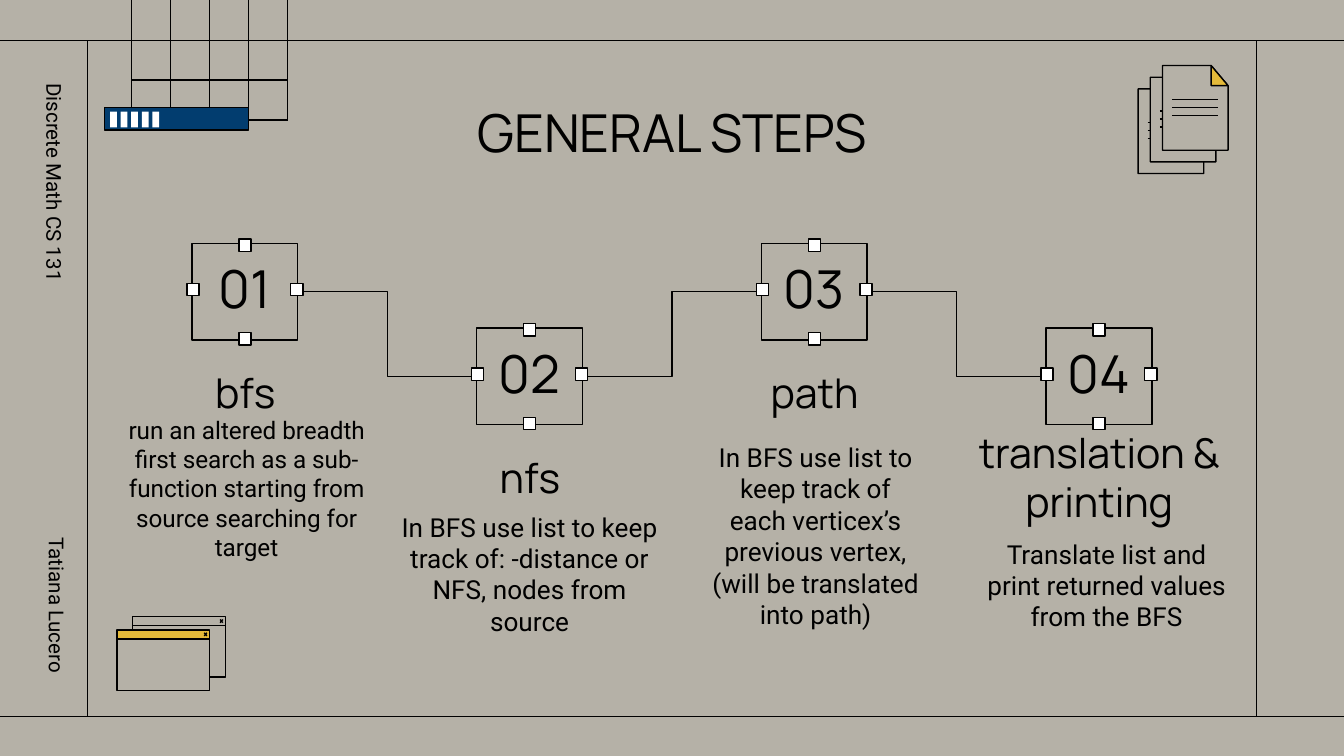
"""Build the slide of four general steps."""
from dataclasses import dataclass

from lxml import etree
from pptx import Presentation
from pptx.dml.color import RGBColor
from pptx.enum.shapes import MSO_CONNECTOR, MSO_SHAPE
from pptx.enum.text import MSO_ANCHOR, PP_ALIGN
from pptx.oxml.ns import qn
from pptx.util import Cm, Pt

RECT = MSO_SHAPE.RECTANGLE
STRAIGHT, ELBOW = MSO_CONNECTOR.STRAIGHT, MSO_CONNECTOR.ELBOW
TOP, MIDDLE = MSO_ANCHOR.TOP, MSO_ANCHOR.MIDDLE
LEFT, CENTER, RIGHT = PP_ALIGN.LEFT, PP_ALIGN.CENTER, PP_ALIGN.RIGHT
HEAD, BODY = "Manrope", "Roboto"
COLORS = {"paper": "B5B1A7", "ink": "000000", "white": "FFFFFF",
          "gold": "E4BA3A", "navy": "023D6F"}
THIN = Pt(0.75)
BOX_W, BOX_H = 2.0, 1.83
KNOB = 0.23
WIN_W, BAR_H, PANE_H = 1.75, 0.17, 0.97
PAGE_W, PAGE_H, FOLD_X, FOLD_Y = 1.24, 1.6, 0.92, 0.38


@dataclass
class Area:
    x: float
    y: float
    w: float
    h: float


@dataclass
class Step:
    label: str
    text: str
    size: int
    body: Area
    after: int = 0


STEPS = [
    Step("bfs", "run an altered breadth first search as a sub-function "
         "starting from source searching for target", 13,
         Area(2.16, 7.77, 5, 2.92), 12),
    Step("nfs", "In BFS use list to keep track of: -distance or NFS, "
         "nodes from source", 14, Area(7.32, 8.71, 5.38, 4.27)),
    Step("path", "In BFS use list to keep track of\neach verticex’s previous "
         "vertex,\n(will be translated\ninto path)", 14,
         Area(12.85, 8.31, 5.13, 3.63)),
    Step("translation & printing", "Translate list and print returned values "
         "from the BFS", 14, Area(18.26, 9.7, 5.31, 2.72)),
]


def color(name: str) -> RGBColor:
    return RGBColor.from_string(COLORS[name])


def paint(shape, fill: str | None, edge: bool = True) -> None:
    shape.shadow.inherit = False
    if fill:
        shape.fill.solid()
        shape.fill.fore_color.rgb = color(fill)
    else:
        shape.fill.background()
    if edge:
        shape.line.color.rgb = color("ink")
        shape.line.width = THIN
    else:
        shape.line.fill.background()


def block(shapes, area: Area, fill: str | None = None, edge: bool = True):
    shape = shapes.add_shape(RECT, Cm(area.x), Cm(area.y),
                             Cm(area.w), Cm(area.h))
    paint(shape, fill, edge)
    return shape


def outline(shapes, points: list, fill: str | None) -> None:
    spots = [(Cm(x), Cm(y)) for x, y in points]
    pen = shapes.build_freeform(*spots[0])
    pen.add_line_segments(spots[1:])
    paint(pen.convert_to_shape(), fill)


def line(shapes, x1: float, y1: float, x2: float, y2: float, kind=STRAIGHT):
    link = shapes.add_connector(kind, Cm(x1), Cm(y1), Cm(x2), Cm(y2))
    link.line.color.rgb = color("ink")
    link.line.width = THIN
    etree.SubElement(link._element.spPr, qn("a:effectLst"))
    return link


def write(shape, text: str, size: int, face: str, align=CENTER,
          anchor=MIDDLE, after: int = 0, space: float = 1.0) -> None:
    frame = shape.text_frame
    frame.text = text
    frame.word_wrap = True
    frame.vertical_anchor = anchor
    frame.margin_left = frame.margin_right = Cm(0.25)
    frame.margin_top = frame.margin_bottom = Cm(0.25)
    for para in frame.paragraphs:
        para.alignment = align
        para.space_after = Pt(after)
        para.line_spacing = space
        for run in para.runs:
            run.font.size = Pt(size)
            run.font.name = face
            run.font.color.rgb = color("ink")


def label(shapes, area: Area, text: str, size: int, face: str,
          turn: int = 0, **look) -> None:
    box = shapes.add_textbox(Cm(area.x), Cm(area.y), Cm(area.w), Cm(area.h))
    box.rotation = turn
    write(box, text, size, face, **look)


def knobs(shapes, x: float, y: float) -> None:
    mid_x, mid_y = x + BOX_W / 2, y + BOX_H / 2
    for dx, dy in ((0, -0.88), (0, 0.89), (-0.98, -0.04), (0.98, -0.04)):
        block(shapes, Area(mid_x + dx - KNOB / 2, mid_y + dy - KNOB / 2,
                           KNOB, KNOB), "white")


def window(shapes, x: float, y: float, bar: str | None,
           pane: str | None) -> None:
    block(shapes, Area(x, y, WIN_W, BAR_H), bar)
    left, right, top, low = x + 1.65, x + 1.7, y + 0.05, y + 0.11
    line(shapes, left, top, right, low)
    line(shapes, right, top, left, low)
    block(shapes, Area(x, y + BAR_H, WIN_W, PANE_H), pane)


def page(shapes, x: float, y: float, fill: str | None) -> None:
    tip, crease = (x + FOLD_X, y), (x + PAGE_W, y + FOLD_Y)
    outline(shapes, [(x, y), (x, y + PAGE_H), (x + PAGE_W, y + PAGE_H),
                     crease, tip, (x, y)], fill)
    outline(shapes, [tip, (x + FOLD_X, y + FOLD_Y), crease, tip], "gold")
    for row in range(3):
        level = y + 0.64 + 0.15 * row
        line(shapes, x + 0.18, level, x + 1.04, level)


def grid(shapes) -> None:
    for col in range(5):
        x = 2.48 + 0.74 * col
        line(shapes, x, 0, x, 2.28)
    for y in (1.51, 2.27):
        line(shapes, 2.48, y, 5.44, y)
    block(shapes, Area(1.98, 2.03, 2.72, 0.43), "navy")
    for tick in range(5):
        block(shapes, Area(2.08 + 0.2 * tick, 2.11, 0.13, 0.3),
              "white", False)


def flow(shapes) -> None:
    spots = [(3.63 + 5.38 * i, 4.6 + 1.6 * (i % 2))
             for i in range(len(STEPS))]
    boxes = []
    for num, (step, (x, y)) in enumerate(zip(STEPS, spots), 1):
        box = block(shapes, Area(x, y, BOX_W, BOX_H))
        write(box, f"{num:02}", 28, HEAD, anchor=TOP)
        boxes.append(box)
        label(shapes, Area(x - 1.65, y + 2.25, 5.31, 1.12),
              step.label, 22, HEAD)
        label(shapes, step.body, step.text, step.size, BODY,
              after=step.after)
    for first, second in zip(boxes, boxes[1:]):
        link = line(shapes, 0, 0, 1, 1, ELBOW)
        link.begin_connect(first, 3)
        link.end_connect(second, 1)
    for x, y in spots:
        knobs(shapes, x, y)


def main() -> None:
    deck = Presentation()
    deck.slide_width, deck.slide_height = Cm(25.4), Cm(14.29)
    slide = deck.slides.add_slide(deck.slide_layouts[6])
    slide.background.fill.solid()
    slide.background.fill.fore_color.rgb = color("paper")
    shapes = slide.shapes
    for y in (0.76, 13.54):
        line(shapes, 0, y, 25.4, y)
    for x in (1.65, 23.75):
        line(shapes, x, 13.54, x, 0.76)
    label(shapes, Area(3.89, 1.68, 17.63, 1.6), "GENERAL STEPS", 28, HEAD)
    flow(shapes)
    window(shapes, 2.51, 11.66, None, None)
    window(shapes, 2.21, 11.91, "gold", "paper")
    for num, fill in enumerate((None, "paper", "paper")):
        page(shapes, 21.51 + 0.23 * num, 1.68 - 0.22 * num, fill)
    grid(shapes)
    label(shapes, Area(-1.88, 3.99, 5.89, 0.56), "Discrete Math CS 131",
          11, BODY, 90, align=LEFT, after=12, space=1.15)
    label(shapes, Area(-1.55, 10.06, 5.26, 0.56), "Tatiana Lucero",
          11, BODY, 90, align=RIGHT)
    deck.save("out.pptx")


if __name__ == "__main__":
    main()
